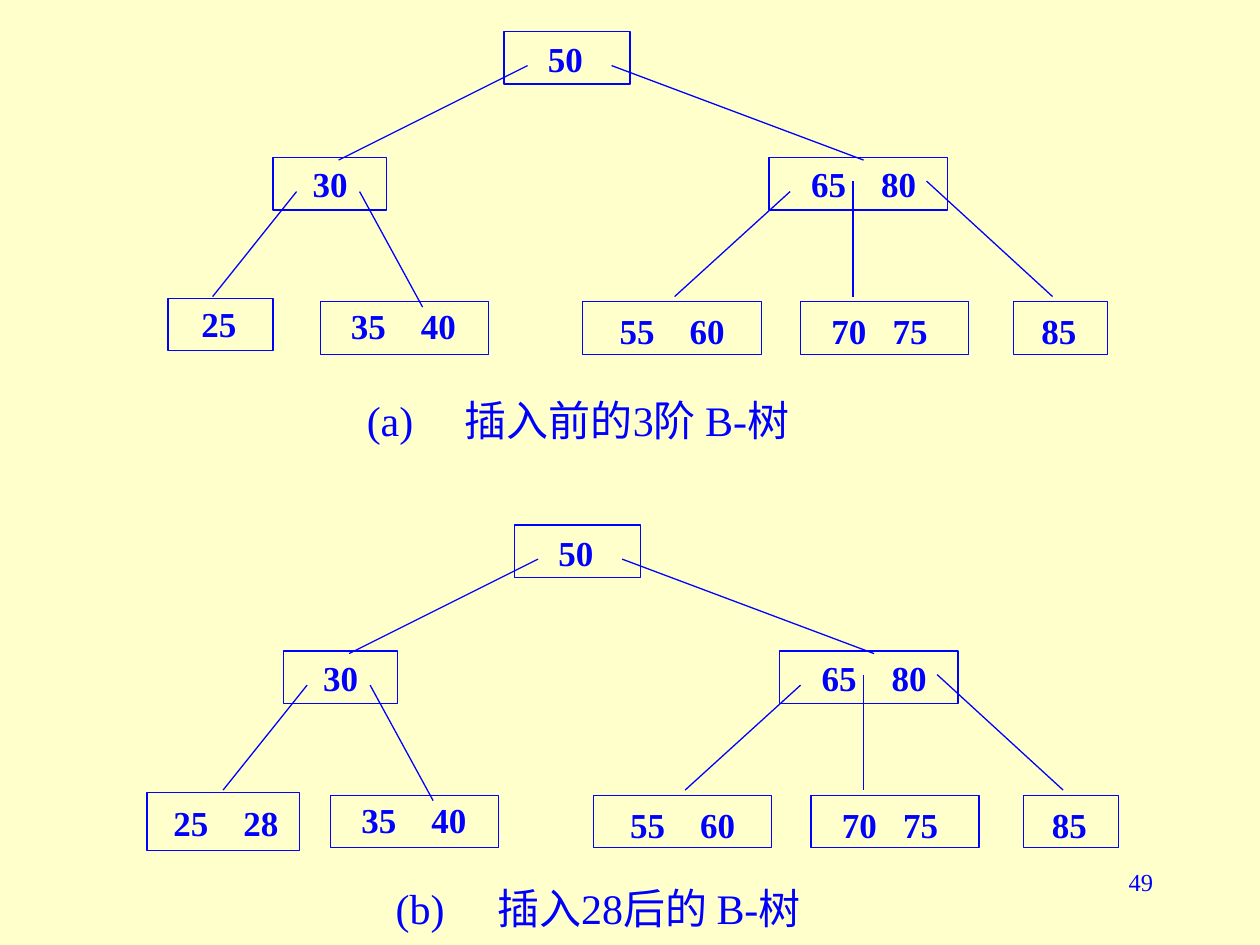
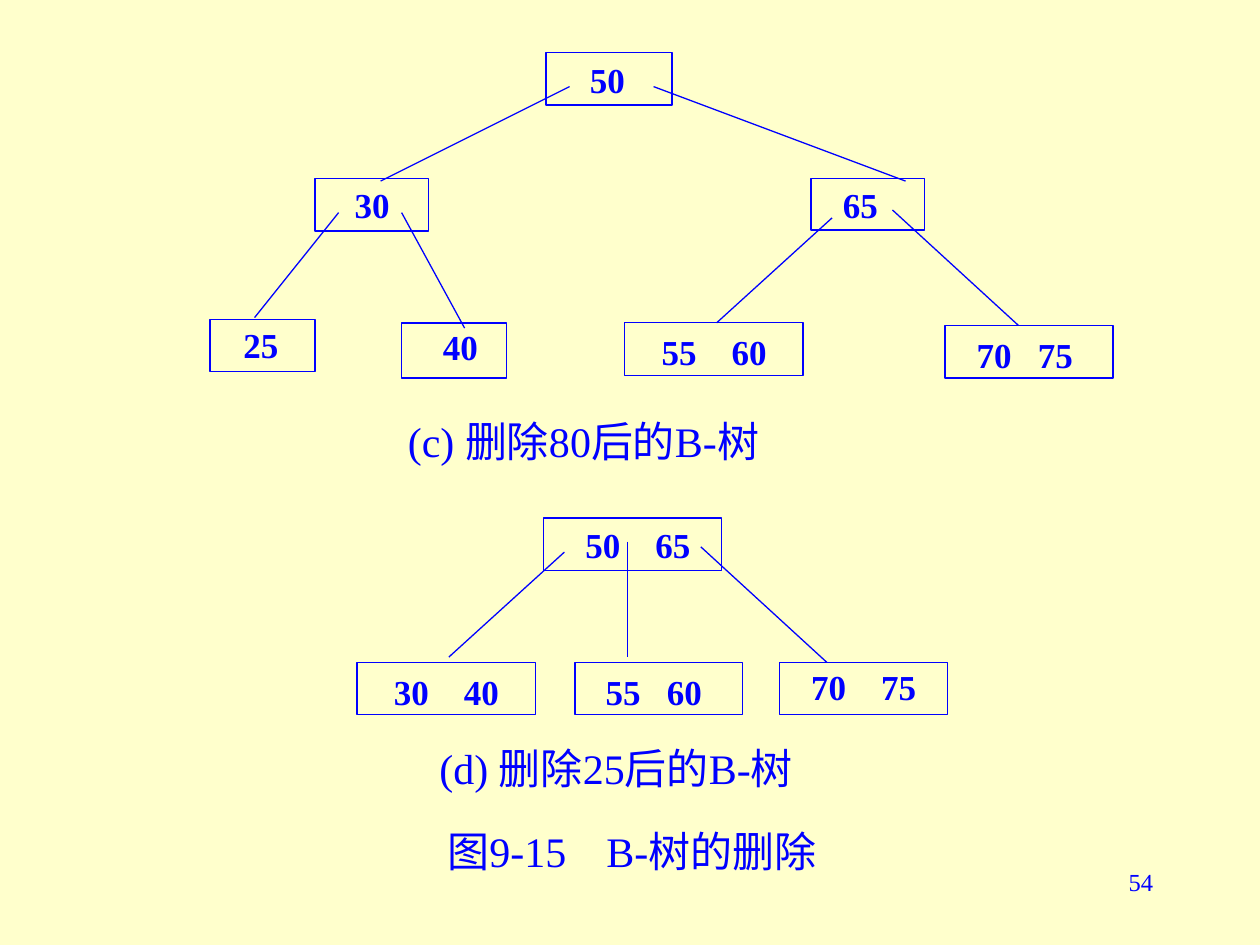
from dataclasses import dataclass

from lxml import etree
from pptx import Presentation
from pptx.dml.color import RGBColor
from pptx.enum.shapes import MSO_CONNECTOR, MSO_SHAPE
from pptx.enum.text import MSO_ANCHOR, PP_ALIGN
from pptx.oxml.ns import qn
from pptx.util import Pt

RECTANGLE = MSO_SHAPE.RECTANGLE
STRAIGHT = MSO_CONNECTOR.STRAIGHT
TOP = MSO_ANCHOR.TOP
LEFT = PP_ALIGN.LEFT
RIGHT = PP_ALIGN.RIGHT
BLANK_LAYOUT = 6


@dataclass(frozen=True)
class Theme:
    background: RGBColor = RGBColor(0xFF, 0xFF, 0xCC)
    ink: RGBColor = RGBColor(0x00, 0x00, 0xFF)
    font: str = "Times New Roman"
    key_size: float = 20
    caption_size: float = 24
    number_size: float = 14
    line_width: float = 0.75


@dataclass(frozen=True)
class Node:
    """A B-tree node: its keys, its frame, and where the keys start."""
    keys: tuple
    left: float
    top: float
    width: float
    text_left: float
    text_top: float
    height: float = 30
    key_step: float = 40
    indent: float = 0


@dataclass(frozen=True)
class Caption:
    text: str
    left: float
    top: float
    width: float
    tab: float = 0


def write_text(shape, text, *, theme, size, bold=False, align=LEFT, tab=0, indent=0):
    """Fill a text box with one formatted paragraph."""
    frame = shape.text_frame
    frame.word_wrap = True
    frame.vertical_anchor = TOP
    frame.margin_left = Pt(7.2)
    frame.margin_right = Pt(7.2 if align == RIGHT else 0)
    frame.margin_top = frame.margin_bottom = Pt(3.6)
    paragraph = frame.paragraphs[0]
    paragraph.alignment = align
    properties = paragraph._p.get_or_add_pPr()
    if indent:
        properties.set("marL", str(Pt(indent)))
    if tab:
        tab_list = etree.SubElement(properties, qn("a:tabLst"))
        etree.SubElement(tab_list, qn("a:tab"), pos=str(Pt(tab)), algn="l")
    run = paragraph.add_run()
    run.text = text
    run.font.name = theme.font
    run.font.size = Pt(size)
    run.font.bold = bold
    run.font.color.rgb = theme.ink


class TreeDeck:
    """Holds the style and the slide being drawn."""

    def __init__(self, theme):
        self.theme = theme
        self.presentation = Presentation()
        self.presentation.slide_width = Pt(720)
        self.presentation.slide_height = Pt(540)
        fill = self.presentation.slide_master.background.fill
        fill.solid()
        fill.fore_color.rgb = theme.background
        self.slide = None
        self.shapes = None
        self.offset = (0, 0)

    def add_slide(self, number):
        layout = self.presentation.slide_layouts[BLANK_LAYOUT]
        self.slide = self.presentation.slides.add_slide(layout)
        self.shapes = self.slide.shapes
        self.offset = (0, 0)
        self.add_text(str(number), 516, 492, 150, 36,
                      size=self.theme.number_size, align=RIGHT)

    def place(self, left, top):
        return Pt(left + self.offset[0]), Pt(top + self.offset[1])

    def add_text(self, text, left, top, width, height, **text_format):
        box = self.shapes.add_textbox(*self.place(left, top), Pt(width), Pt(height))
        write_text(box, text, theme=self.theme, **text_format)

    def add_node(self, node):
        frame = self.shapes.add_shape(RECTANGLE, *self.place(node.left, node.top),
                                      Pt(node.width), Pt(node.height))
        frame.shadow.inherit = False
        frame.fill.background()
        frame.line.color.rgb = self.theme.ink
        frame.line.width = Pt(self.theme.line_width)
        extra = (len(node.keys) - 1) * node.key_step + node.indent
        self.add_text("\t".join(node.keys), node.text_left, node.text_top,
                      34.5 + extra, 31.5, size=self.theme.key_size, bold=True,
                      tab=node.key_step if len(node.keys) > 1 else 0,
                      indent=node.indent)

    def add_branch(self, start_left, start_top, end_left, end_top):
        line = self.shapes.add_connector(STRAIGHT, *self.place(start_left, start_top),
                                         *self.place(end_left, end_top))
        line.line.color.rgb = self.theme.ink
        line.line.width = Pt(self.theme.line_width)
        etree.SubElement(line._element.spPr, qn("a:effectLst"))

    def add_caption(self, caption):
        self.add_text(caption.text, caption.left, caption.top, caption.width, 36,
                      size=self.theme.caption_size, tab=caption.tab)

    def add_tree(self, offset, nodes, branches, captions):
        self.offset = offset
        self.shapes = self.slide.shapes.add_group_shape().shapes
        for node in nodes:
            self.add_node(node)
        for branch in branches:
            self.add_branch(*branch)
        for caption in captions:
            self.add_caption(caption)


# Nodes, placed as in tree (a); the other trees are shifted by an offset
ROOT_50 = Node(("50",), 288, 18, 72, 306, 18)
NODE_30 = Node(("30",), 156, 90, 65, 171.5, 89.5)
NODE_65_80 = Node(("65", "80"), 439.5, 90, 102, 456.5, 89.5)
NODE_65 = Node(("65",), 439.5, 90, 65, 450.5, 89.5, height=29.5)
LEAF_25 = Node(("25",), 96, 170.5, 60, 108, 169.5)
LEAF_25_28 = Node(("25", "28"), 78, 171, 87, 86, 172.5, height=33)
LEAF_35_40 = Node(("35", "40"), 183, 172.5, 96, 193.5, 170.5)
LEAF_40 = Node(("40",), 205.5, 172.5, 60, 212, 170.5, height=31.5, indent=10)
LEAF_55_60 = Node(("55", "60"), 333, 172.5, 102, 347, 173.5)
LEAF_70_75 = Node(("70", "75"), 457.5, 172.5, 96, 468, 173.5, key_step=35)
LEAF_70_75_FAR = Node(("70", "75"), 516, 174, 96, 527, 175, key_step=35)
LEAF_85 = Node(("85",), 579, 172.5, 54, 588, 173.5)

# Nodes of tree (d), whose root stands where 65 80 does in tree (a)
ROOT_50_65 = Node(("50", "65"), 439.5, 90, 102, 456.5, 89.5)
LEAF_30_40 = Node(("30", "40"), 333, 172.5, 102, 347, 173.5)
LEAF_55_60_MIDDLE = Node(("55", "60"), 457.5, 172.5, 96, 468, 173.5, key_step=35)
LEAF_70_75_RIGHT = Node(("70", "75"), 574.5, 172.5, 96, 585.5, 170.5)

# Branches
ROOT_BRANCHES = [(301.5, 37.5, 193.5, 91.5), (349.5, 37.5, 493.5, 91.5)]
LEFT_BRANCHES = [(169.5, 109.5, 121.5, 169.5), (205.5, 109.5, 241.5, 175.5)]
FAN_BRANCHES = [(451.5, 109.5, 385.5, 169.5), (487.5, 103.5, 487.5, 169.5)]
FULL_BRANCHES = (ROOT_BRANCHES + LEFT_BRANCHES + FAN_BRANCHES
                 + [(529.5, 103.5, 601.5, 169.5)])
PAIR_BRANCHES = [(451.5, 112.5, 385.5, 172.5), (486, 108, 558, 174)]

RIGHT_SUBTREE = [NODE_65_80, LEAF_55_60, LEAF_70_75, LEAF_85]


def main():
    deck = TreeDeck(Theme())

    # Insertion of 28
    deck.add_slide(49)
    deck.add_tree((0, 0), [ROOT_50, NODE_30, LEAF_25, LEAF_35_40] + RIGHT_SUBTREE,
                  FULL_BRANCHES,
                  [Caption("(a)\t插入前的3阶 B-树", 202.5, 222, 279, tab=56)])
    deck.add_tree((6, 282), [ROOT_50, NODE_30, LEAF_25_28, LEAF_35_40] + RIGHT_SUBTREE,
                  FULL_BRANCHES,
                  [Caption("(b)\t插入28后的 B-树", 213, 219, 268.5, tab=58)])

    # Deletion of 80 and 25
    deck.add_slide(54)
    deck.add_tree((24, 12),
                  [ROOT_50, NODE_30, NODE_65, LEAF_25, LEAF_40, LEAF_55_60,
                   LEAF_70_75_FAR],
                  ROOT_BRANCHES + LEFT_BRANCHES + PAIR_BRANCHES,
                  [Caption("(c) 删除80后的B-树", 202, 222, 243)])
    deck.add_tree((-129, 206),
                  [ROOT_50_65, LEAF_30_40, LEAF_55_60_MIDDLE, LEAF_70_75_RIGHT],
                  FAN_BRANCHES + [(529.5, 106.5, 601.5, 172.5)],
                  [Caption("(d) 删除25后的B-树", 373, 215, 245),
                   Caption("图9-15\tB-树的删除", 377.5, 262, 232, tab=91)])

    deck.presentation.save("out.pptx")


if __name__ == "__main__":
    main()
